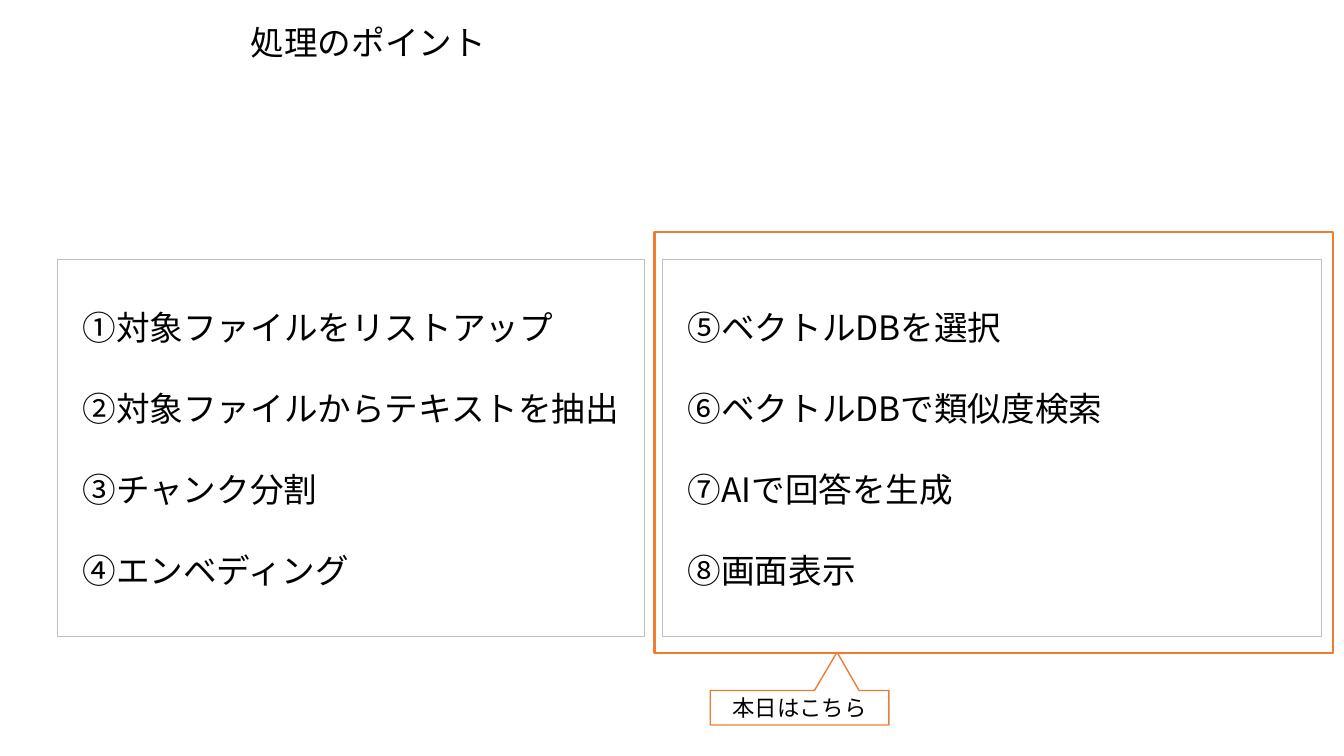
from lxml.etree import SubElement
from pptx import Presentation
from pptx.dml.color import RGBColor
from pptx.enum.lang import MSO_LANGUAGE_ID
from pptx.enum.shapes import MSO_SHAPE
from pptx.enum.text import MSO_ANCHOR, PP_ALIGN
from pptx.oxml.ns import qn
from pptx.util import Cm, Pt

FONT = "Noto Sans CJK JP"
BLACK, WHITE, GRAY, ORANGE = "000000", "FFFFFF", "BFBFBF", "ED7D31"


def color(value):
    return RGBColor.from_string(value)


def write_text(shape, lines, size=24, align=PP_ALIGN.LEFT, inset=0.25, gap=0):
    frame = shape.text_frame
    frame.word_wrap = True
    frame.vertical_anchor = MSO_ANCHOR.MIDDLE
    frame.margin_left = frame.margin_right = Cm(inset)
    frame.margin_top = frame.margin_bottom = 0
    for index, line in enumerate(lines):
        paragraph = frame.add_paragraph() if index else frame.paragraphs[0]
        paragraph.alignment = align
        paragraph.line_spacing = Pt(round(size * 1.2))
        if index:
            paragraph.space_before = Pt(gap)
        run = paragraph.add_run()
        run.text = line
        run.font.size = Pt(size)
        run.font.name = FONT
        run.font.language_id = MSO_LANGUAGE_ID.JAPANESE
        run.font.color.rgb = color(BLACK)
        SubElement(run.font._element, qn("a:ea"), typeface=FONT)


class SlideBuilder:
    def __init__(self, slide):
        self.slide = slide

    def title(self, text, left, top, width, height):
        box = self.slide.shapes.add_textbox(Cm(left), Cm(top), Cm(width), Cm(height))
        write_text(box, [text])

    def outline(self, left, top, width, height, line, weight, kind=MSO_SHAPE.RECTANGLE):
        shape = self.slide.shapes.add_shape(kind, Cm(left), Cm(top), Cm(width), Cm(height))
        shape.shadow.inherit = False
        shape.fill.background()
        shape.line.color.rgb = color(line)
        shape.line.width = Pt(weight)
        return shape

    def step_panel(self, steps, left, width):
        panel = self.outline(left, 6.55, width, 9.5, GRAY, 0.75)
        write_text(panel, steps, inset=0.63, gap=29)

    def callout(self, text, left, top, width, height, tip):
        shape = self.outline(left, top, width, height, ORANGE, 1, MSO_SHAPE.RECTANGULAR_CALLOUT)
        shape.fill.solid()
        shape.fill.fore_color.rgb = color(WHITE)
        shape.adjustments[0], shape.adjustments[1] = tip
        write_text(shape, [text], size=16, align=PP_ALIGN.CENTER)


def main():
    presentation = Presentation()
    presentation.slide_width = Cm(33.87)
    presentation.slide_height = Cm(19.05)
    builder = SlideBuilder(presentation.slides.add_slide(presentation.slide_layouts[6]))

    preparation_steps = [
        "①対象ファイルをリストアップ",
        "②対象ファイルからテキストを抽出",
        "③チャンク分割",
        "④エンベディング",
    ]
    answer_steps = [
        "⑤ベクトルDBを選択",
        "⑥ベクトルDBで類似度検索",
        "⑦AIで回答を生成",
        "⑧画面表示",
    ]
    builder.step_panel(preparation_steps, 1.45, 14.8)
    builder.step_panel(answer_steps, 16.7, 16.6)
    builder.title("処理のポイント", 6.07, 0.41, 14.66, 1.27)
    builder.outline(16.5, 5.85, 17.1, 10.6, ORANGE, 1.75)
    builder.callout("本日はこちら", 17.9, 17.4, 4.5, 0.87, (0.21, -1.61))
    presentation.save("out.pptx")


if __name__ == "__main__":
    main()
